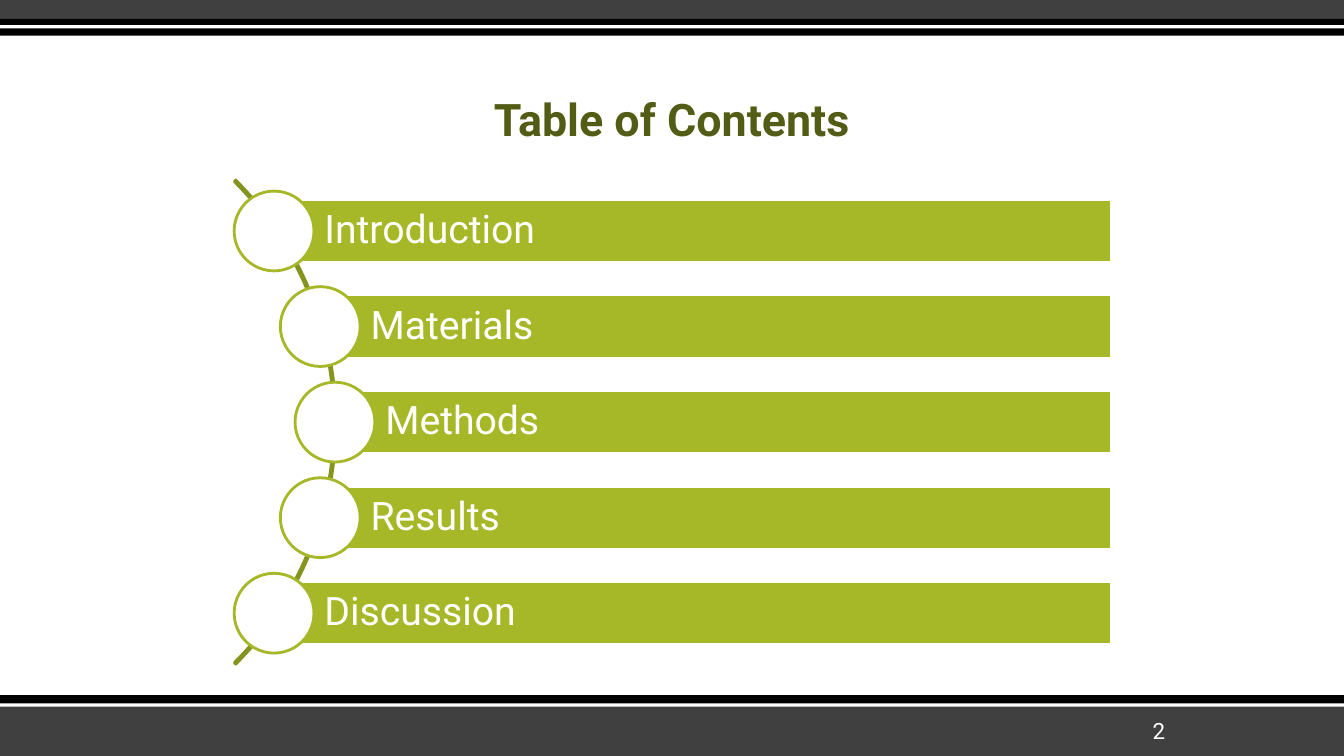
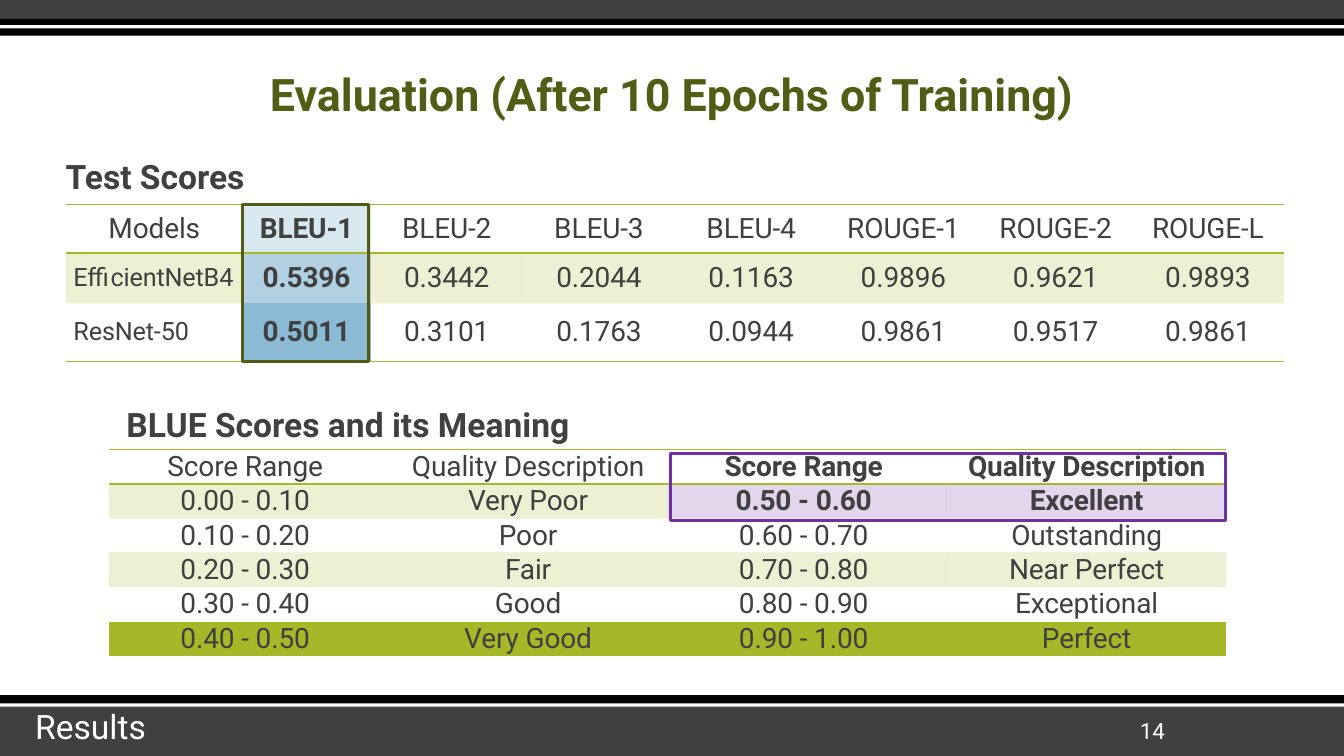
"""Build two slides of an image captioning talk: contents and evaluation."""
from dataclasses import dataclass, field
from typing import Optional

from lxml import etree
from pptx import Presentation
from pptx import util as u
from pptx.dml.color import RGBColor
from pptx.enum import shapes, text
from pptx.oxml.ns import qn

SCALE = 9525
WIDTH, HEIGHT = 1280, 720
PLAIN_TABLE = "{2D5ABB26-0587-4C30-8999-92F81FD0307C}"


@dataclass(frozen=True)
class Theme:
    """Colours, font and type sizes of the deck."""
    font: str = "Roboto"
    white: str = "FFFFFF"
    black: str = "000000"
    gray: str = "404040"
    green: str = "A6B727"
    moss: str = "85931F"
    olive: str = "535C14"
    purple: str = "7030A0"
    blues: tuple[str, ...] = ("D8E8F1", "B1D1E3", "8ABAD4")
    title: int = 32
    entry: int = 28
    heading: int = 24
    cell: int = 20
    model: int = 18
    number: int = 16


THEME = Theme()


@dataclass(frozen=True)
class Box:
    """Place on the slide in px."""
    left: int
    top: int
    width: int
    height: int

    def emu(self) -> tuple[int, ...]:
        """Return the four lengths in EMU."""
        return tuple(px(v) for v in (self.left, self.top, self.width, self.height))


@dataclass(frozen=True)
class Type:
    """Look of a piece of text."""
    size: int
    color: str = THEME.white
    bold: bool = False
    align: text.PP_ALIGN = text.PP_ALIGN.LEFT
    anchor: text.MSO_ANCHOR = text.MSO_ANCHOR.TOP
    spacing: Optional[float] = 0.9


@dataclass(frozen=True)
class Tint:
    """Cell fill with its opacity in percent."""
    color: str
    opacity: int = 100


@dataclass(frozen=True)
class Entry:
    """Line of the table of contents and the left edge of its bar."""
    label: str
    left: int


@dataclass(frozen=True)
class Grid:
    """Score table with banded rows and emphasised cells."""
    left: int
    top: int
    columns: tuple[int, ...]
    rows: tuple[int, ...]
    records: tuple[tuple[str, ...], ...]
    emphasis: dict[tuple[int, int], Optional[Tint]] = field(default_factory=dict)
    gap: int = 0
    named_rows: bool = False
    nudged: tuple[int, ...] = ()


TITLE = Type(THEME.title, THEME.olive, True, text.PP_ALIGN.CENTER, text.MSO_ANCHOR.BOTTOM)
ENTRY = Type(THEME.entry, anchor=text.MSO_ANCHOR.MIDDLE)
SECTION = Type(THEME.heading)
HEADING = Type(THEME.heading, THEME.gray, True)
NUMBER = Type(THEME.number, align=text.PP_ALIGN.RIGHT, anchor=text.MSO_ANCHOR.MIDDLE, spacing=None)

BANDS = (
    (Box(0, 672, WIDTH, 48), THEME.gray),
    (Box(0, 662, WIDTH, 10), THEME.black),
    (Box(0, 670, WIDTH, 3), THEME.white),
    (Box(0, 0, WIDTH, 18), THEME.gray),
    (Box(0, 18, WIDTH, 16), THEME.black),
    (Box(0, 24, WIDTH, 3), THEME.white),
)

ENTRIES = (
    Entry("Introduction", 261),
    Entry("Materials", 305),
    Entry("Methods", 319),
    Entry("Results", 305),
    Entry("Discussion", 261),
)

TEST_SCORES = Grid(
    63, 195, (168, 122) + (145,) * 6, (46, 48, 55),
    (
        ("Models", "BLEU-1", "BLEU-2", "BLEU-3", "BLEU-4", "ROUGE-1", "ROUGE-2", "ROUGE-L"),
        ("EfficientNetB4", "0.5396", "0.3442", "0.2044", "0.1163", "0.9896", "0.9621", "0.9893"),
        ("ResNet-50", "0.5011", "0.3101", "0.1763", "0.0944", "0.9861", "0.9517", "0.9861"),
    ),
    {(row, 1): Tint(blue) for row, blue in enumerate(THEME.blues)},
    gap=1, named_rows=True,
)

MEANINGS = Grid(
    104, 428, (266,) * 4, (33, 33, 32) * 2,
    (
        ("Score Range", "Quality Description") * 2,
        ("0.00 - 0.10", "Very Poor", "0.50 - 0.60", "Excellent"),
        ("0.10 - 0.20", "Poor", "0.60 - 0.70", "Outstanding"),
        ("0.20 - 0.30", "Fair", "0.70 - 0.80", "Near Perfect"),
        ("0.30 - 0.40", "Good", "0.80 - 0.90", "Exceptional"),
        ("0.40 - 0.50", "Very Good", "0.90 - 1.00", "Perfect"),
    ),
    {(row, column): Tint(THEME.purple, 20) if row else None
     for row in (0, 1) for column in (2, 3)},
    nudged=(0, 2),
)


def px(length: int) -> u.Emu:
    """Turn px into EMU."""
    return u.Emu(length * SCALE)


def write(frame, words: str, look: Type) -> None:
    """Put one styled paragraph into a text frame."""
    frame.text = words
    frame.word_wrap = True
    frame.vertical_anchor = look.anchor
    style_paragraph(frame.paragraphs[0], look)


def style_paragraph(paragraph, look: Type) -> None:
    """Apply a look to a paragraph and its runs."""
    paragraph.alignment = look.align
    if look.spacing:
        paragraph.line_spacing = look.spacing
    for run in paragraph.runs:
        run.font.name = THEME.font
        run.font.size = u.Pt(look.size)
        run.font.bold = look.bold
        run.font.color.rgb = RGBColor.from_string(look.color)


def add_label(slide, box: Box, words: str, look: Type) -> None:
    """Add a text box."""
    write(slide.shapes.add_textbox(*box.emu()).text_frame, words, look)


def add_figure(slide, kind: shapes.MSO_SHAPE, box: Box,
               fill: Optional[str] = None, line: Optional[str] = None):
    """Add a preset shape with an optional fill and outline."""
    figure = slide.shapes.add_shape(kind, *box.emu())
    figure.shadow.inherit = False
    if fill:
        figure.fill.solid()
        figure.fill.fore_color.rgb = RGBColor.from_string(fill)
    else:
        figure.fill.background()
    if line:
        figure.line.color.rgb = RGBColor.from_string(line)
        figure.line.width = u.Pt(2)
    else:
        figure.line.fill.background()
    return figure


def add_page(deck, title: str, title_box: Box, number: int):
    """Add a slide with the shared bands, title and page number."""
    slide = deck.slides.add_slide(deck.slide_layouts[6])
    for box, color in BANDS:
        add_figure(slide, shapes.MSO_SHAPE.RECTANGLE, box, color)
    add_label(slide, title_box, title, TITLE)
    add_label(slide, Box(1021, 684, 98, 24), str(number), NUMBER)
    return slide


def rule_cell(cell, side: str) -> None:
    """Draw a thin green rule on one side of a cell."""
    rule = etree.SubElement(cell._tc.get_or_add_tcPr(), qn(f"a:{side}"), w=str(u.Pt(1)))
    solid = etree.SubElement(rule, qn("a:solidFill"))
    etree.SubElement(solid, qn("a:srgbClr"), val=THEME.green)


def fill_cell(cell, tint: Optional[Tint]) -> None:
    """Fill a cell with a tint or leave it clear."""
    if tint is None:
        cell.fill.background()
        return
    cell.fill.solid()
    cell.fill.fore_color.rgb = RGBColor.from_string(tint.color)
    if tint.opacity < 100:
        color = cell._tc.tcPr.find(f".//{qn('a:solidFill')}/{qn('a:srgbClr')}")
        etree.SubElement(color, qn("a:alpha"), val=str(tint.opacity * 1000))


def add_grid(slide, grid: Grid) -> None:
    """Add a score table."""
    box = Box(grid.left, grid.top, sum(grid.columns), sum(grid.rows))
    table = slide.shapes.add_table(len(grid.rows), len(grid.columns), *box.emu()).table
    table.first_row = table.horz_banding = False
    table._tbl.tblPr.find(qn("a:tableStyleId")).text = PLAIN_TABLE
    for column, width in zip(table.columns, grid.columns):
        column.width = px(width)
    for row, height in zip(table.rows, grid.rows):
        row.height = px(height)
    for r, record in enumerate(grid.records):
        for c, words in enumerate(record):
            draw_cell(table.cell(r, c), grid, r, c, words)


def draw_cell(cell, grid: Grid, r: int, c: int, words: str) -> None:
    """Write, rule and fill one cell of a grid."""
    names_row = grid.named_rows and r > 0 and c == 0
    cell.text_frame.text = words
    cell.vertical_anchor = text.MSO_ANCHOR.MIDDLE
    cell.margin_left = px(7)
    cell.margin_right = px(14 if c in grid.nudged else 7)
    cell.margin_top = cell.margin_bottom = 0
    paragraph = cell.text_frame.paragraphs[0]
    paragraph.space_before = paragraph.space_after = u.Pt(grid.gap)
    style_paragraph(paragraph, Type(
        THEME.model if names_row else THEME.cell, THEME.gray, (r, c) in grid.emphasis,
        text.PP_ALIGN.LEFT if names_row else text.PP_ALIGN.CENTER, spacing=None))
    for run in paragraph.runs:
        run.font._element.set("spc", "-10")
    if r == 0:
        rule_cell(cell, "lnT")
    if r in (0, len(grid.rows) - 1):
        rule_cell(cell, "lnB")
    band = Tint(THEME.green, 20) if r % 2 else None
    fill_cell(cell, grid.emphasis.get((r, c), band))


def add_contents(deck) -> None:
    """Add the table of contents along an arc."""
    slide = add_page(deck, "Table of Contents", Box(160, 80, 960, 64), 2)
    arc = add_figure(slide, shapes.MSO_SHAPE.BLOCK_ARC, Box(-332, 76, 652, 652), line=THEME.moss)
    for index, value in enumerate((189, 27, 0.003)):
        arc.adjustments[index] = value
    first, pitch, right, height, dot = 190, 91, 1059, 60, 76
    for index, entry in enumerate(ENTRIES):
        top = first + index * pitch
        bar = add_figure(slide, shapes.MSO_SHAPE.RECTANGLE,
                         Box(entry.left, top, right - entry.left, height),
                         THEME.green, THEME.white)
        write(bar.text_frame, entry.label, ENTRY)
        bar.text_frame.margin_left = px(48)
        add_figure(slide, shapes.MSO_SHAPE.OVAL,
                   Box(entry.left - dot // 2, top + (height - dot) // 2, dot, dot),
                   THEME.white, THEME.green)


def add_evaluation(deck) -> None:
    """Add the test scores and the meaning of the score ranges."""
    slide = add_page(deck, "Evaluation (After 10 Epochs of Training)", Box(160, 48, 960, 72), 14)
    add_label(slide, Box(24, 672, 376, 44), "Results", SECTION)
    add_grid(slide, TEST_SCORES)
    add_grid(slide, MEANINGS)
    add_label(slide, Box(111, 384, 504, 44), "BLUE Scores and its Meaning", HEADING)
    add_label(slide, Box(53, 148, 504, 44), "Test Scores", HEADING)
    for box, color in ((Box(639, 432, 528, 64), THEME.purple),
                       (Box(231, 195, 120, 149), THEME.olive)):
        add_figure(slide, shapes.MSO_SHAPE.RECTANGLE, box, line=color)


def main() -> None:
    """Build and save the deck."""
    deck = Presentation()
    deck.slide_width, deck.slide_height = px(WIDTH), px(HEIGHT)
    add_contents(deck)
    add_evaluation(deck)
    deck.save("out.pptx")


if __name__ == "__main__":
    main()
